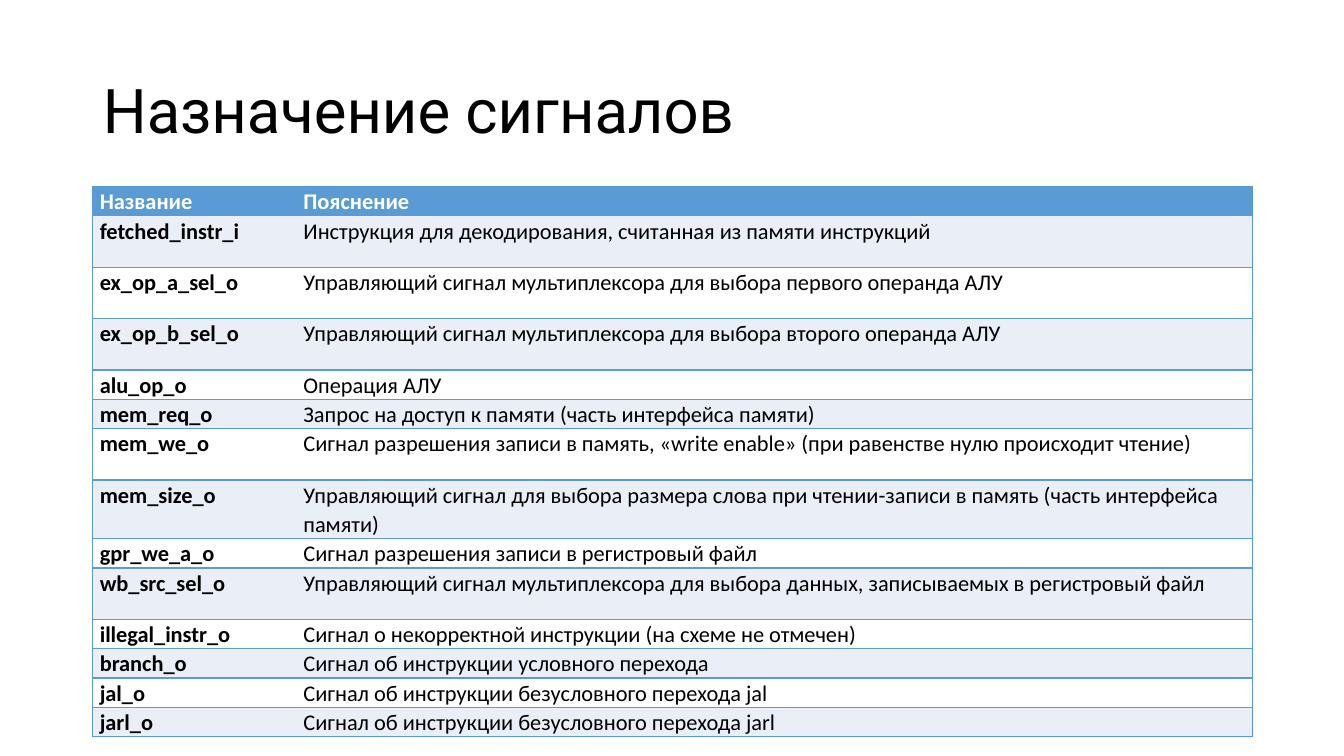
from lxml.etree import SubElement
from pptx import Presentation
from pptx.dml.color import RGBColor
from pptx.enum.text import MSO_ANCHOR, PP_ALIGN
from pptx.oxml.ns import qn
from pptx.util import Inches, Pt

COLORS = {"blue": "5B9BD5", "band": "EAEFF7", "white": "FFFFFF", "black": "000000"}

SHORT, TALL = 0.27, 0.51
ROWS = [
    ("Название", "Пояснение", 0.25),
    ("fetched_instr_i", "Инструкция для декодирования, считанная из памяти инструкций", TALL),
    ("ex_op_a_sel_o", "Управляющий сигнал мультиплексора для выбора первого операнда АЛУ", TALL),
    ("ex_op_b_sel_o", "Управляющий сигнал мультиплексора для выбора второго операнда АЛУ", TALL),
    ("alu_op_o", "Операция АЛУ", SHORT),
    ("mem_req_o", "Запрос на доступ к памяти (часть интерфейса памяти)", SHORT),
    ("mem_we_o", "Сигнал разрешения записи в память, «write enable» "
     "(при равенстве нулю происходит чтение)", TALL),
    ("mem_size_o", "Управляющий сигнал для выбора размера слова при чтении-записи "
     "в память (часть интерфейса памяти)", 0.52),
    ("gpr_we_a_o", "Сигнал разрешения записи в регистровый файл", SHORT),
    ("wb_src_sel_o", "Управляющий сигнал мультиплексора для выбора данных, "
     "записываемых в регистровый файл", TALL),
    ("illegal_instr_o", "Сигнал о некорректной инструкции (на схеме не отмечен)", SHORT),
    ("branch_o", "Сигнал об инструкции условного перехода", SHORT),
    ("jal_o", "Сигнал об инструкции безусловного перехода jal", SHORT),
    ("jarl_o", "Сигнал об инструкции безусловного перехода jarl", SHORT),
]
COLUMN_WIDTHS = [2.02, 9.48]


def set_borders(cell, visible_sides):
    """Draw blue lines on the visible sides (of L, R, T, B) and none on the others."""
    properties = cell._tc.get_or_add_tcPr()
    for side in "LRTB":
        line = SubElement(properties, qn(f"a:ln{side}"), w=str(Pt(1)))
        if side in visible_sides:
            fill = SubElement(line, qn("a:solidFill"))
            SubElement(fill, qn("a:srgbClr"), val=COLORS["blue"])
        else:
            SubElement(line, qn("a:noFill"))


def format_text(paragraph, font_name, size, color, bold):
    font = paragraph.runs[0].font
    font.name = font_name
    font.size = Pt(size)
    font.bold = bold
    font.color.rgb = RGBColor.from_string(COLORS[color])


presentation = Presentation()
presentation.slide_width = Inches(13.33)
presentation.slide_height = Inches(7.5)
slide = presentation.slides.add_slide(presentation.slide_layouts[5])

title = slide.shapes.title
title.left, title.top = Inches(0.92), Inches(0.4)
title.width, title.height = Inches(11.5), Inches(1.45)
title.text_frame.text = "Назначение сигналов"
title.text_frame.vertical_anchor = MSO_ANCHOR.MIDDLE
heading = title.text_frame.paragraphs[0]
heading.alignment = PP_ALIGN.LEFT
heading.line_spacing = 0.9
format_text(heading, "Roboto", 44, "black", False)

table = slide.shapes.add_table(
    len(ROWS), len(COLUMN_WIDTHS), Inches(0.92), Inches(1.85), Inches(11.5), Inches(5.31)
).table
table.horz_banding = False
for column, width in zip(table.columns, COLUMN_WIDTHS):
    column.width = Inches(width)

for row_index, (name, meaning, height) in enumerate(ROWS):
    table.rows[row_index].height = Inches(height)
    is_header = row_index == 0
    fill_color = "blue" if is_header else "band" if row_index % 2 else "white"
    for column_index, text in enumerate((name, meaning)):
        cell = table.cell(row_index, column_index)
        cell.margin_left = cell.margin_right = Inches(0.07)
        cell.margin_top = cell.margin_bottom = 0
        set_borders(cell, "LTB" if column_index == 0 else "RTB")
        cell.fill.solid()
        cell.fill.fore_color.rgb = RGBColor.from_string(COLORS[fill_color])
        cell.text_frame.text = text
        paragraph = cell.text_frame.paragraphs[0]
        paragraph.line_spacing = 1.07
        paragraph.space_after = Pt(8)
        format_text(paragraph, "Calibri", 16, "white" if is_header else "black",
                    is_header or column_index == 0)

presentation.save("out.pptx")
